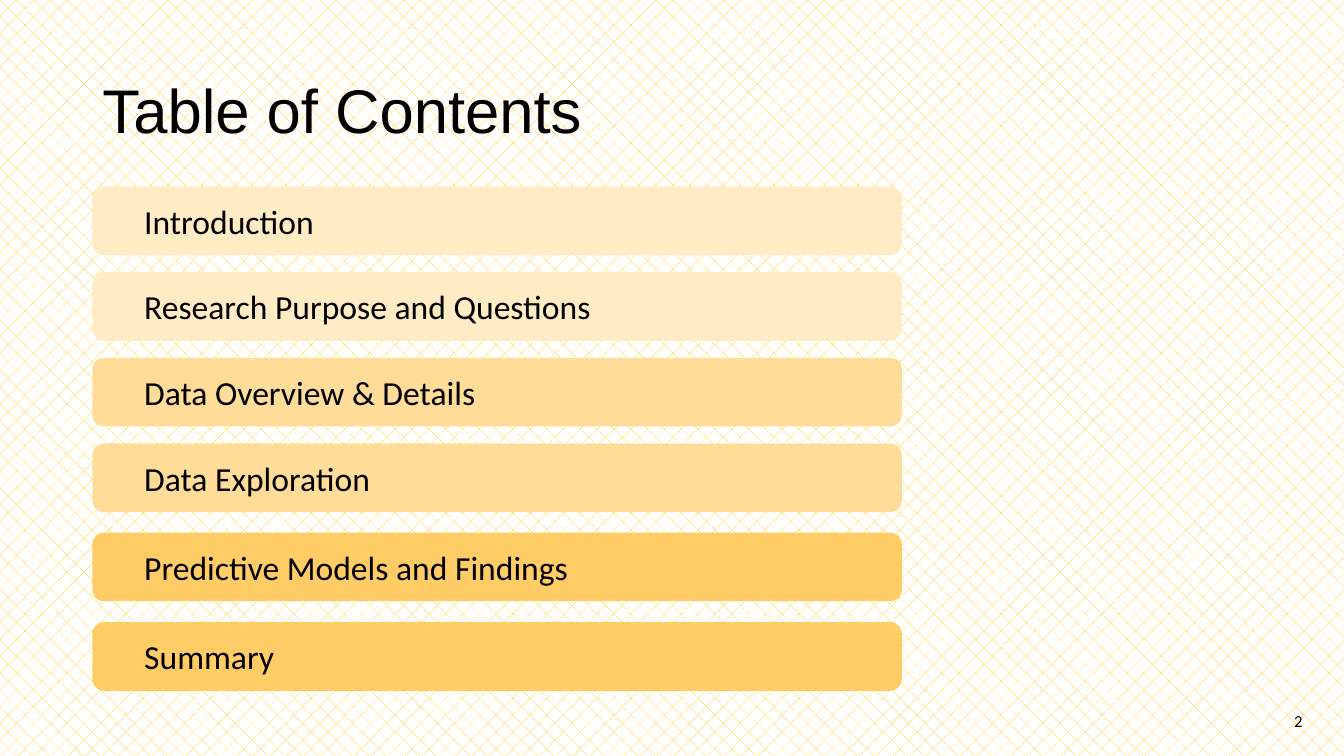
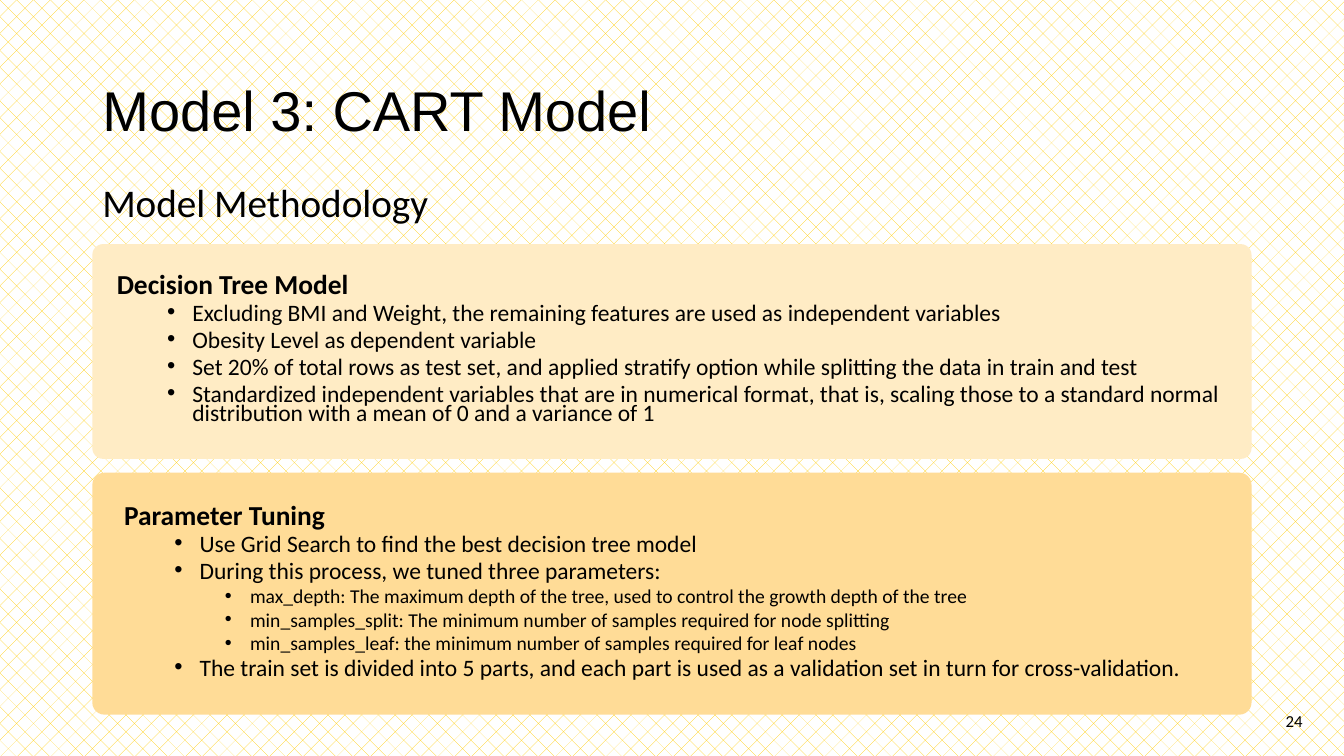
from lxml import etree
from pptx import Presentation
from pptx.dml.color import RGBColor
from pptx.enum.dml import MSO_PATTERN
from pptx.enum.shapes import MSO_SHAPE
from pptx.enum.text import MSO_ANCHOR, MSO_AUTO_SIZE, PP_ALIGN
from pptx.oxml.ns import qn
from pptx.util import Pt

ROUND = MSO_SHAPE.ROUNDED_RECTANGLE
DIAMOND = MSO_PATTERN.DOTTED_DIAMOND
TOP, MIDDLE = MSO_ANCHOR.TOP, MSO_ANCHOR.MIDDLE
LEFT, RIGHT = PP_ALIGN.LEFT, PP_ALIGN.RIGHT
FIXED = MSO_AUTO_SIZE.NONE

COLORS = {
    "ink": "000000",
    "paper": "FFFFFF",
    "weave": "FFCC00",
    "pale": "FFECC5",
    "soft": "FFDC97",
    "warm": "FFCC66",
}
HEAD, BODY = "Arial", "Calibri"
EDGE, WIDE = 66, 828
SIZES = (19.6, 16.8, 14)
INDENTS = (0, 54, 90)
HANG = 18

TOPICS = (
    ("Introduction", "pale", 133.2),
    ("Research Purpose and Questions", "pale", 194.4),
    ("Data Overview & Details", "soft", 255.6),
    ("Data Exploration", "soft", 316.8),
    ("Predictive Models and Findings", "warm", 380.4),
    ("Summary", "warm", 444.4),
)
TREE = (
    (0, "Decision Tree Model"),
    (1, "Excluding BMI and Weight, the remaining features are used as independent variables"),
    (1, "Obesity Level as dependent variable"),
    (1, "Set 20% of total rows as test set, and applied stratify option while splitting the data in train and test"),
    (1, "Standardized independent variables that are in numerical format, that is, scaling those to a standard normal distribution with a mean of 0 and a variance of 1"),
)
TUNING = (
    (0, "Parameter Tuning"),
    (1, "Use Grid Search to find the best decision tree model"),
    (1, "During this process, we tuned three parameters:"),
    (2, "max_depth: The maximum depth of the tree, used to control the growth depth of the tree"),
    (2, "min_samples_split: The minimum number of samples required for node splitting"),
    (2, "min_samples_leaf: the minimum number of samples required for leaf nodes"),
    (1, "The train set is divided into 5 parts, and each part is used as a validation set in turn for cross-validation."),
)


def color(name):
    return RGBColor.from_string(COLORS[name])


class Deck:
    def __init__(self):
        self.file = Presentation()
        self.file.slide_width, self.file.slide_height = Pt(960), Pt(540)
        self.slide = None

    def page(self, layout, title, size, number):
        self.slide = self.file.slides.add_slide(self.file.slide_layouts[layout])
        fill = self.slide.background.fill
        fill.patterned()
        fill.pattern = DIAMOND
        fill.fore_color.rgb = color("weave")
        fill.back_color.rgb = color("paper")
        head = self.slide.shapes.title
        self.place(head, EDGE, 28.8, WIDE, 104.4)
        self.label(head, title, size, font=HEAD, anchor=MIDDLE, line=0.9)
        self.text(number, 721.6, 500.5, 216, 28.75, 12, anchor=MIDDLE, align=RIGHT)

    def place(self, shape, left, top, width, height):
        shape.left, shape.top = Pt(left), Pt(top)
        shape.width, shape.height = Pt(width), Pt(height)

    def frame(self, shape, anchor):
        frame = shape.text_frame
        frame.word_wrap = True
        frame.auto_size = FIXED
        frame.vertical_anchor = anchor
        return frame

    def style(self, part, size, font=BODY, bold=False, align=LEFT, line=1.0, before=0):
        part.alignment = align
        part.line_spacing = line
        part.space_before = Pt(before)
        for run in part.runs:
            run.font.name, run.font.size, run.font.bold = font, Pt(size), bold
            run.font.color.rgb = color("ink")

    def label(self, shape, text, size, anchor=TOP, **look):
        frame = self.frame(shape, anchor)
        frame.text = text
        self.style(frame.paragraphs[0], size, **look)

    def box(self, left, top, width, height):
        return self.slide.shapes.add_textbox(Pt(left), Pt(top), Pt(width), Pt(height))

    def text(self, text, left, top, width, height, size, **look):
        self.label(self.box(left, top, width, height), text, size, **look)

    def card(self, tint, left, top, width, height, curve=0.17):
        card = self.slide.shapes.add_shape(ROUND, Pt(left), Pt(top), Pt(width), Pt(height))
        card.adjustments[0] = curve
        card.shadow.inherit = False
        card.fill.solid()
        card.fill.fore_color.rgb = color(tint)
        card.line.fill.background()
        return card

    def topic(self, text, tint, top):
        card = self.card(tint, EDGE, top, 578.2, 49)
        self.label(card, text, 24, anchor=MIDDLE)
        card.text_frame.margin_left = Pt(34.6)

    def items(self, shape, rows):
        frame = self.frame(shape, TOP)
        frame.text = "\n".join(text for level, text in rows)
        for part, (level, text) in zip(frame.paragraphs, rows):
            part.level = level
            self.style(part, SIZES[level], bold=level == 0, line=0.7, before=5 if level else 10)
            self.bullet(part, level)

    def bullet(self, part, level):
        props = part._p.get_or_add_pPr()
        props.set("marL", str(Pt(INDENTS[level])))
        props.set("indent", str(-Pt(HANG) if level else 0))
        if level:
            etree.SubElement(props, qn("a:buFont")).set("typeface", HEAD)
            etree.SubElement(props, qn("a:buChar")).set("char", "•")
        else:
            etree.SubElement(props, qn("a:buNone"))


def contents(deck):
    deck.page(5, "Table of Contents", 44, "2")
    for topic in TOPICS:
        deck.topic(*topic)


def model(deck):
    deck.page(1, "Model 3: CART Model", 40, "24")
    deck.text("Model Methodology", EDGE, 127.4, WIDE, 38.2, 28, line=0.9, before=10)
    deck.card("pale", EDGE, 174.4, WIDE, 153.4, curve=0.05)
    deck.items(deck.box(76.3, 193.7, 802, 124.6), TREE)
    card = deck.card("soft", EDGE, 337.7, WIDE, 172.8, curve=0.05)
    body = deck.slide.placeholders[1]
    deck.place(body, 81.4, 358.6, 797, 151.9)
    card._element.addnext(body._element)
    deck.items(body, TUNING)


def main():
    deck = Deck()
    contents(deck)
    model(deck)
    deck.file.save("out.pptx")


if __name__ == "__main__":
    main()
